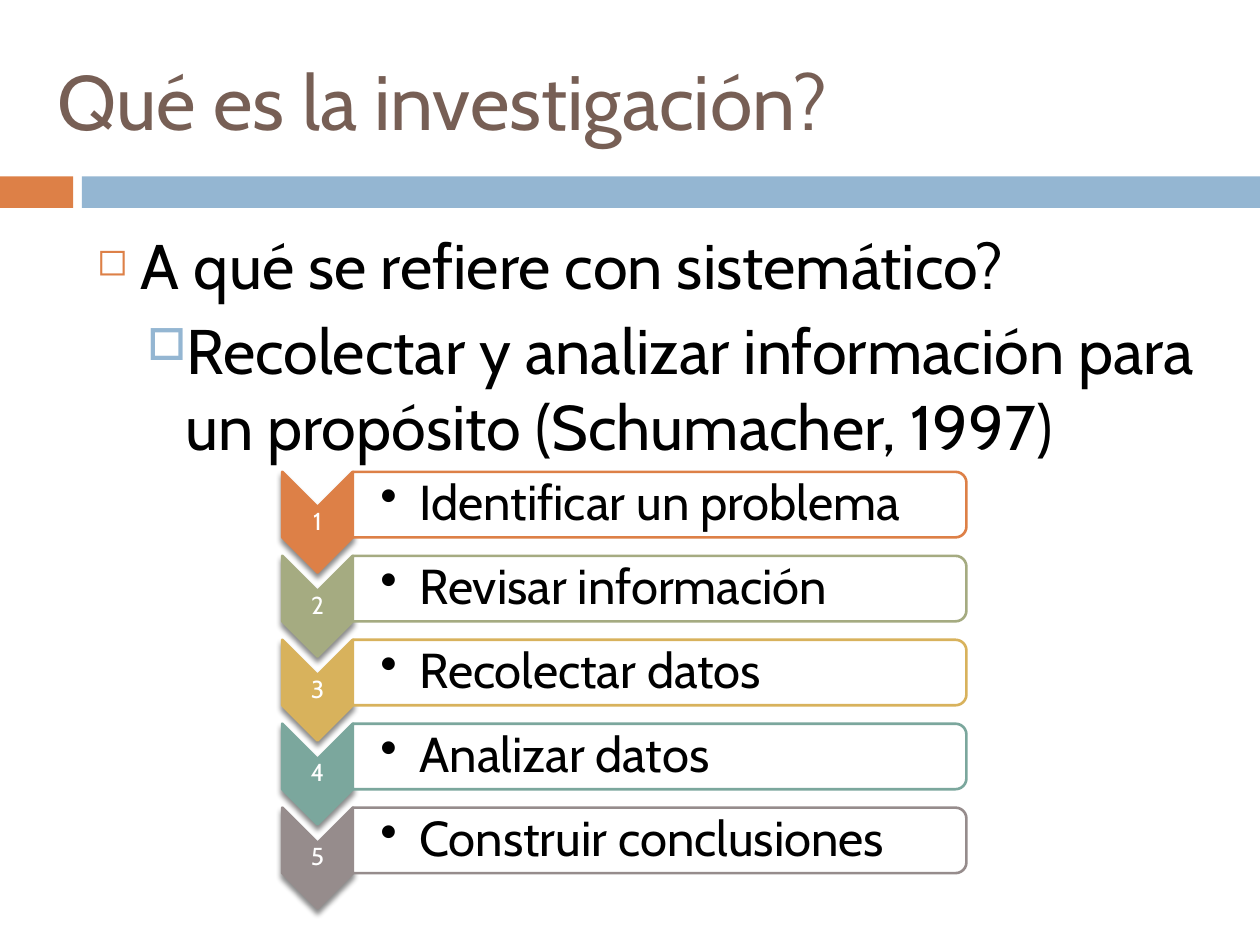
from dataclasses import dataclass

from lxml import etree
from pptx import Presentation
from pptx.dml import color
from pptx.enum import shapes, text
from pptx.oxml import ns
from pptx.util import Inches, Pt


@dataclass(frozen=True)
class Theme:
    """Holds the colours, font and type sizes of the slide."""
    font: str = "Cabin"
    title: str = "775F55"
    body: str = "000000"
    white: str = "FFFFFF"
    orange: str = "DD8047"
    blue: str = "94B6D2"
    steps: tuple = ("DD8047", "A5AB81", "D8B25C", "7BA79D", "968C8C")
    title_size: int = 44
    body_size: int = 36
    step_size: int = 28
    number_size: int = 14


T = Theme()
COLS, ROWS = 100, 75
WIDTH, HEIGHT = Inches(10), Inches(7.5)


def place(x, y, w, h):
    """Turns grid columns and rows into slide lengths."""
    return (int(x * WIDTH / COLS), int(y * HEIGHT / ROWS),
            int(w * WIDTH / COLS), int(h * HEIGHT / ROWS))


def put(obj, values):
    """Sets each attribute in a dict of format values."""
    for name, value in values.items():
        setattr(obj, name, value)


def node(parent, tag, **attrs):
    """Adds a DrawingML element with the given attributes."""
    values = {key: str(value) for key, value in attrs.items()}
    return etree.SubElement(parent, ns.qn(f"a:{tag}"), values)


def add_shape(slide, kind, box, fill, line=None, turned=False):
    """Draws a preset shape in a box, turned a quarter if asked."""
    x, y, w, h = box
    if turned:
        x, y, w, h = x + (w - h) / 2, y + (h - w) / 2, h, w
    sp = slide.shapes.add_shape(kind, *place(x, y, w, h))
    sp.shadow.inherit = False
    sp.rotation = 90 if turned else 0
    sp.fill.solid()
    sp.fill.fore_color.rgb = color.RGBColor.from_string(fill)
    if line:
        sp.line.color.rgb = color.RGBColor.from_string(line)
        sp.line.width = Pt(1.5)
    else:
        sp.line.fill.background()
    return sp


def add_shadow(sp):
    """Gives a shape a soft shadow below it."""
    effects = sp._element.spPr.find(ns.qn("a:effectLst"))
    shadow = node(effects, "outerShdw", blurRad=Pt(3), dist=Pt(2.4),
                  dir=5400000, rotWithShape=0)
    node(node(shadow, "srgbClr", val="000000"), "alpha", val=45000)


def add_bullet(p, char, margin, indent, tint=None, size=None):
    """Gives a paragraph a hanging bullet."""
    pPr = p._p.get_or_add_pPr()
    left, _, hang, _ = place(margin, 0, indent, 0)
    pPr.set("marL", str(left))
    pPr.set("indent", str(-hang))
    if tint:
        node(node(pPr, "buClr"), "srgbClr", val=tint)
    if size:
        node(pPr, "buSzPct", val=size * 1000)
    node(pPr, "buChar", char=char)


def add_frame(slide, box, **values):
    """Adds a wrapping text box and returns its frame."""
    tf = slide.shapes.add_textbox(*place(*box)).text_frame
    put(tf, {"word_wrap": True, **values})
    return tf


def write(p, words, size, tint, **values):
    """Writes one run and formats its paragraph."""
    r = p.add_run()
    r.text = words
    put(r.font, {"size": Pt(size), "name": T.font})
    r.font.color.rgb = color.RGBColor.from_string(tint)
    put(p, values)


def add_header(slide, box):
    """Places the title above the two-colour band."""
    x, y, w, h = box
    tf = add_frame(slide, (x + 3.6, y + 2.5, 89.2, 10.8),
                   vertical_anchor=text.MSO_ANCHOR.MIDDLE)
    write(tf.paragraphs[0], "Qué es la investigación?", T.title_size, T.title)
    band = 2.5
    for left, right, fill in ((0, 5.8, T.orange), (6.5, w, T.blue)):
        add_shape(slide, shapes.MSO_SHAPE.RECTANGLE,
                  (x + left, y + h - band, right - left, band), fill)


def add_body(slide, box):
    """Places the question and its answer."""
    tf = add_frame(slide, box)
    question, answer = tf.paragraphs[0], tf.add_paragraph()
    write(question, "A qué se refiere con sistemático?",
          T.body_size, T.body, space_before=Pt(7))
    add_bullet(question, "◻", 3.5, 3.5, T.orange, 60)
    write(answer, "Recolectar y analizar información para un propósito "
          "(Schumacher, 1997)", T.body_size, T.body,
          level=1, space_before=Pt(5.5))
    add_bullet(answer, "□", 7, 3, T.blue, 70)


def add_step(slide, box, number, words, tint):
    """Places one numbered chevron and its labelled bar."""
    x, y, w, h = box
    arrow, bar = 5.6, 5.2
    middle = {"vertical_anchor": text.MSO_ANCHOR.MIDDLE}
    sides = ("margin_left", "margin_top", "margin_right", "margin_bottom")
    chevron = add_shape(slide, shapes.MSO_SHAPE.CHEVRON,
                        (x, y, arrow, h), tint, tint, True)
    add_shadow(chevron)
    tf = add_frame(slide, (x, y + arrow / 2, arrow, h - arrow),
                   **dict.fromkeys(sides, Inches(0.01)), **middle)
    write(tf.paragraphs[0], str(number), T.number_size, T.white,
          alignment=text.PP_ALIGN.CENTER, line_spacing=0.9)
    add_shape(slide, shapes.MSO_SHAPE.ROUND_2_SAME_RECTANGLE,
              (x + arrow, y, w - arrow, bar), T.white, tint, True)
    margins = dict.fromkeys(sides, Inches(0.02))
    margins["margin_left"] = Inches(0.22)
    tf = add_frame(slide, (x + arrow, y + 0.25, w - arrow - 0.3, bar - 0.5),
                   **margins, **middle)
    p = tf.paragraphs[0]
    write(p, words, T.step_size, T.body, level=1, line_spacing=0.9)
    add_bullet(p, "•", 3.1, 3.1)


def add_steps(slide, box):
    """Stacks the research steps at an equal pitch, chevrons overlapping."""
    x, y, w, h = box
    steps = ("Identificar un problema", "Revisar información",
             "Recolectar datos", "Analizar datos", "Construir conclusiones")
    step_height = 8
    pitch = (h - step_height) / (len(steps) - 1)
    for i, (words, tint) in enumerate(zip(steps, T.steps)):
        add_step(slide, (x, y + i * pitch, w, step_height), i + 1, words, tint)


def main():
    """Builds and saves the slide."""
    prs = Presentation()
    put(prs, {"slide_width": WIDTH, "slide_height": HEIGHT})
    slide = prs.slides.add_slide(prs.slide_layouts[6])
    add_header(slide, (0, 0, COLS, 16.5))
    add_body(slide, (6.7, 17.5, 89.2, 49.2))
    add_steps(slide, (22.4, 37.45, 54.3, 34.65))
    prs.save("out.pptx")


if __name__ == "__main__":
    main()
